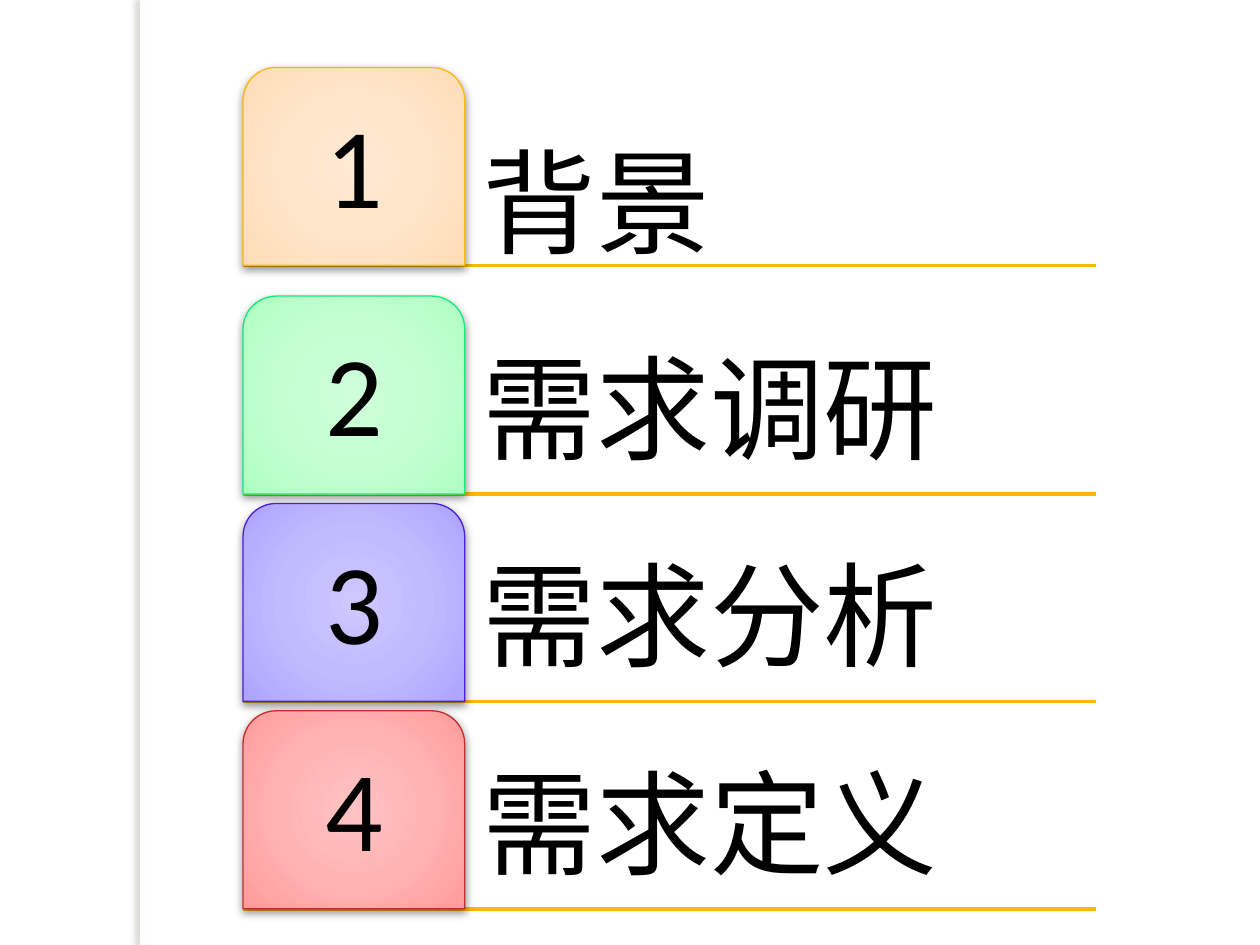
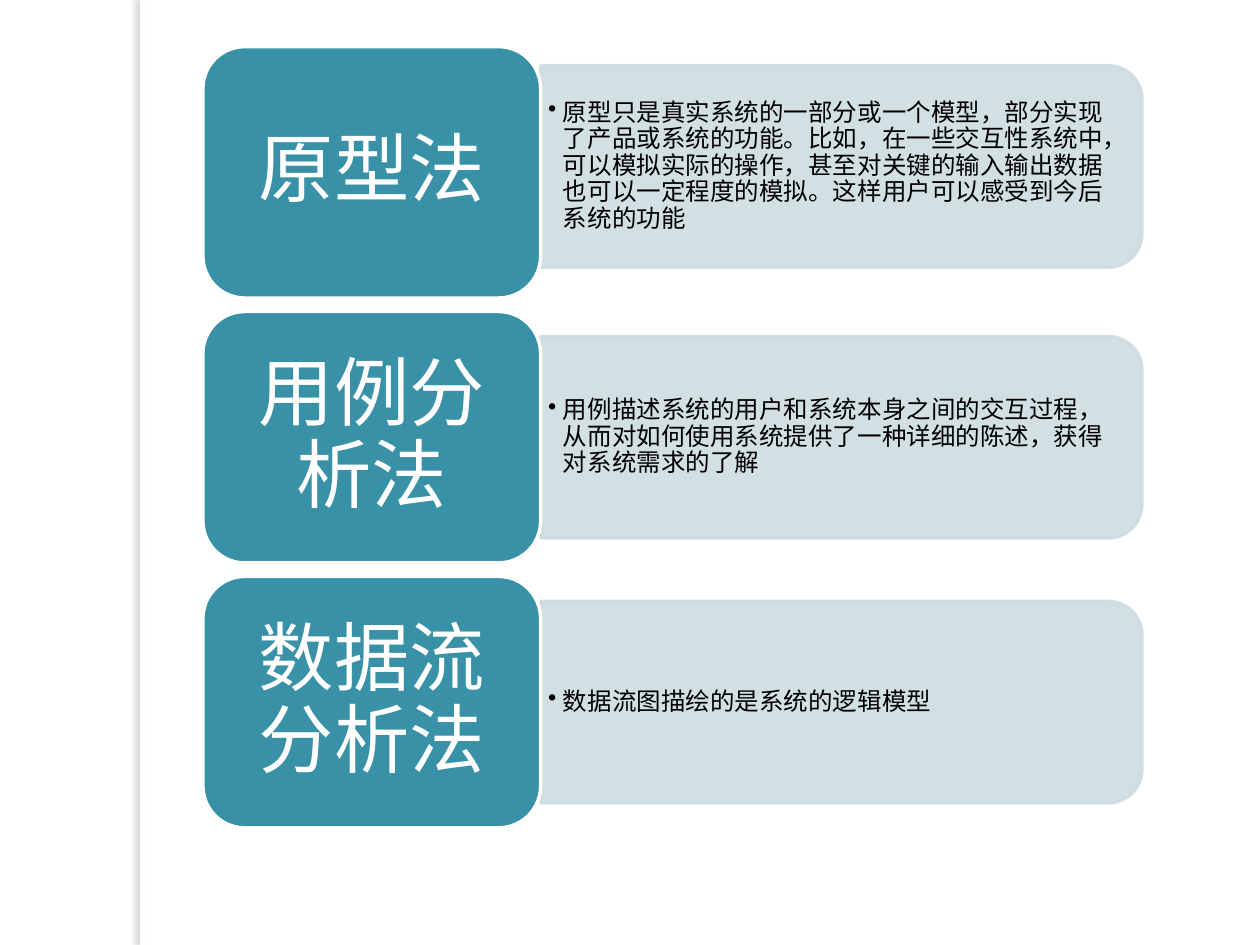
from lxml.etree import SubElement
from pptx import Presentation
from pptx.dml.color import RGBColor
from pptx.enum.shapes import MSO_CONNECTOR, MSO_SHAPE as SHAPE
from pptx.enum.text import MSO_ANCHOR as ANCHOR, PP_ALIGN as ALIGN
from pptx.oxml.ns import qn
from pptx.util import Cm, Pt

FONT = "Calibri"
WHITE, BLACK = "FFFFFF", "000000"
GOLD, TEAL, MIST, SHADE = "FEB80A", "3891A7", "CEDCE1", "736F63"
SLIDE_W, SLIDE_H = 25.4, 19.05

# Number, heading, gradient from centre to edge, outline
AGENDA = [
    ("1", "背景", ("FFE9D3", "FFE5C9", "FFDDB7", "FFDBB2"), GOLD),
    ("2", "需求调研", ("CEFFD9", "C3FFD1", "AFFFC3", "AAFFBF"), "12EE7A"),
    ("3", "需求分析", ("CCC7FF", "C0BBFF", "ADA5FF", "A79FFF"), "4B1FD9"),
    ("4", "需求定义", ("FFC2C2", "FFB4B4", "FF9C9C", "FF9595"), "C32D2E"),
]
METHODS = [
    ("原型法", "原型只是真实系统的一部分或一个模型，部分实现了产品或系统的功能。"
     "比如，在一些交互性系统中，可以模拟实际的操作，甚至对关键的输入输出数据"
     "也可以一定程度的模拟。这样用户可以感受到今后系统的功能"),
    ("用例分析法", "用例描述系统的用户和系统本身之间的交互过程，"
     "从而对如何使用系统提供了一种详细的陈述，获得对系统需求的了解"),
    ("数据流分析法", "数据流图描绘的是系统的逻辑模型"),
]


def rgb(value):
    return RGBColor.from_string(value)


def add_box(slide, kind, x, y, w, h, fill=None, line=None, line_w=2.0):
    sp = slide.shapes.add_shape(kind, Cm(x), Cm(y), Cm(w), Cm(h))
    sp.shadow.inherit = False
    if fill:
        sp.fill.solid()
        sp.fill.fore_color.rgb = rgb(fill)
    if line:
        sp.line.color.rgb = rgb(line)
        sp.line.width = Pt(line_w)
    else:
        sp.line.fill.background()
    return sp


def add_shadow(sp, color, alpha, blur, dist, angle):
    effects = sp._element.spPr.find(qn("a:effectLst"))
    shadow = SubElement(effects, qn("a:outerShdw"), blurRad=str(Pt(blur)),
                        dist=str(Pt(dist)), dir=str(angle * 60000), rotWithShape="0")
    clr = SubElement(shadow, qn("a:srgbClr"), val=color)
    SubElement(clr, qn("a:alpha"), val=str(alpha * 1000))


def set_radial_fill(sp, colors):
    sp.fill.gradient()
    grad = sp._element.spPr.find(qn("a:gradFill"))
    for child in list(grad):
        grad.remove(child)
    stops = SubElement(grad, qn("a:gsLst"))
    for pos, color in zip((0, 50, 97, 100), colors):
        stop = SubElement(stops, qn("a:gs"), pos=str(pos * 1000))
        SubElement(stop, qn("a:srgbClr"), val=color)
    centre = SubElement(grad, qn("a:path"), path="circle")
    SubElement(centre, qn("a:fillToRect"), l="50000", t="50000", r="50000", b="50000")


def set_alpha(sp, percent):
    for clr in sp._element.spPr.iter(qn("a:srgbClr")):
        SubElement(clr, qn("a:alpha"), val=str(percent * 1000))


def set_text(sp, text, size, color, anchor, align, inset_x, inset_y):
    tf = sp.text_frame
    tf.text = text
    tf.word_wrap = True
    tf.vertical_anchor = anchor
    tf.margin_left = tf.margin_right = Cm(inset_x)
    tf.margin_top = tf.margin_bottom = Cm(inset_y)
    p = tf.paragraphs[0]
    p.alignment = align
    p.line_spacing = 0.9
    font = p.runs[0].font
    font.name, font.size, font.color.rgb = FONT, Pt(size), rgb(color)
    return p


def add_text(slide, x, y, w, h, *style):
    tb = slide.shapes.add_textbox(Cm(x), Cm(y), Cm(w), Cm(h))
    return set_text(tb, *style)


def add_rule(slide, x, y, w):
    line = slide.shapes.add_connector(MSO_CONNECTOR.STRAIGHT, Cm(x), Cm(y), Cm(x + w), Cm(y))
    line.line.color.rgb = rgb(GOLD)
    line.line.width = Pt(2)
    SubElement(line._element.spPr, qn("a:effectLst"))


def new_slide(prs):
    """Blank slide with the shaded band down the left side."""
    slide = prs.slides.add_slide(prs.slide_layouts[6])
    band = add_box(slide, SHAPE.RECTANGLE, 2.82, 0, 0.2, SLIDE_H, WHITE)
    add_shadow(band, SHADE, 25, 3, 3, 180)
    return slide


def add_agenda_row(slide, x, y, w, h, item, text_drop):
    number, heading, colors, outline = item
    tab_w = 4.47
    add_rule(slide, x, y + h, w)
    # Heading, standing on the rule
    add_text(slide, x + tab_w, y + text_drop, w - tab_w, h,
             heading, 65, BLACK, ANCHOR.BOTTOM, ALIGN.LEFT, 0.36, 0.36)
    # Numbered tab
    tab = add_box(slide, SHAPE.ROUND_2_SAME_RECTANGLE, x, y, tab_w, h,
                  line=outline, line_w=0.75)
    set_radial_fill(tab, colors)
    add_shadow(tab, BLACK, 43, 5, 2, 90)
    set_text(tab, number, 65, BLACK, ANCHOR.MIDDLE, ALIGN.CENTER, 0.36, 0.36)


def add_method_row(slide, x, y, w, h, name, detail, panel_shift):
    label_w, panel_h = 6.81, 4.06
    panel_x, panel_w = x + label_w, w - label_w
    mid_x, mid_y = panel_x + panel_w / 2, y + h / 2 + panel_shift
    # Panel, turned so that its round corners face right
    panel = add_box(slide, SHAPE.ROUND_2_SAME_RECTANGLE, mid_x - panel_h / 2,
                    mid_y - panel_w / 2, panel_h, panel_w, MIST, MIST)
    panel.rotation = 90
    set_alpha(panel, 90)
    # Bulleted detail
    text_h = 3.68
    p = add_text(slide, panel_x, mid_y - text_h / 2, panel_w - 0.2, text_h,
                 detail, 14, BLACK, ANCHOR.MIDDLE, ALIGN.LEFT, 0.15, 0.08)
    pPr = p._p.get_or_add_pPr()
    pPr.set("marL", str(Cm(0.3)))
    pPr.set("indent", str(Cm(-0.3)))
    SubElement(pPr, qn("a:buChar"), char="•")
    # Method label
    label = add_box(slide, SHAPE.ROUNDED_RECTANGLE, x, y, label_w, h, TEAL, WHITE)
    set_text(label, name, 43, WHITE, ANCHOR.MIDDLE, ALIGN.CENTER, 0.46, 0.23)


def build_agenda(prs, x=4.9, y=1.36, w=17.2, row_h=3.99, pitch=4.18, first_gap=0.43):
    slide = new_slide(prs)
    for i, item in enumerate(AGENDA):
        # The first row stands apart and its heading sits lower
        gap, drop = (first_gap, 0) if i else (0, 0.45)
        add_agenda_row(slide, x, y + i * pitch + gap, w, row_h, item, drop)


def build_methods(prs, x=4.09, y=0.94, w=18.93, row_h=5.07, pitch=5.34):
    slide = new_slide(prs)
    for i, (name, detail) in enumerate(METHODS):
        shift = 0 if i else -0.12
        add_method_row(slide, x, y + i * pitch, w, row_h, name, detail, shift)


def main():
    prs = Presentation()
    prs.slide_width, prs.slide_height = Cm(SLIDE_W), Cm(SLIDE_H)
    build_agenda(prs)
    build_methods(prs)
    prs.save("out.pptx")


if __name__ == "__main__":
    main()
